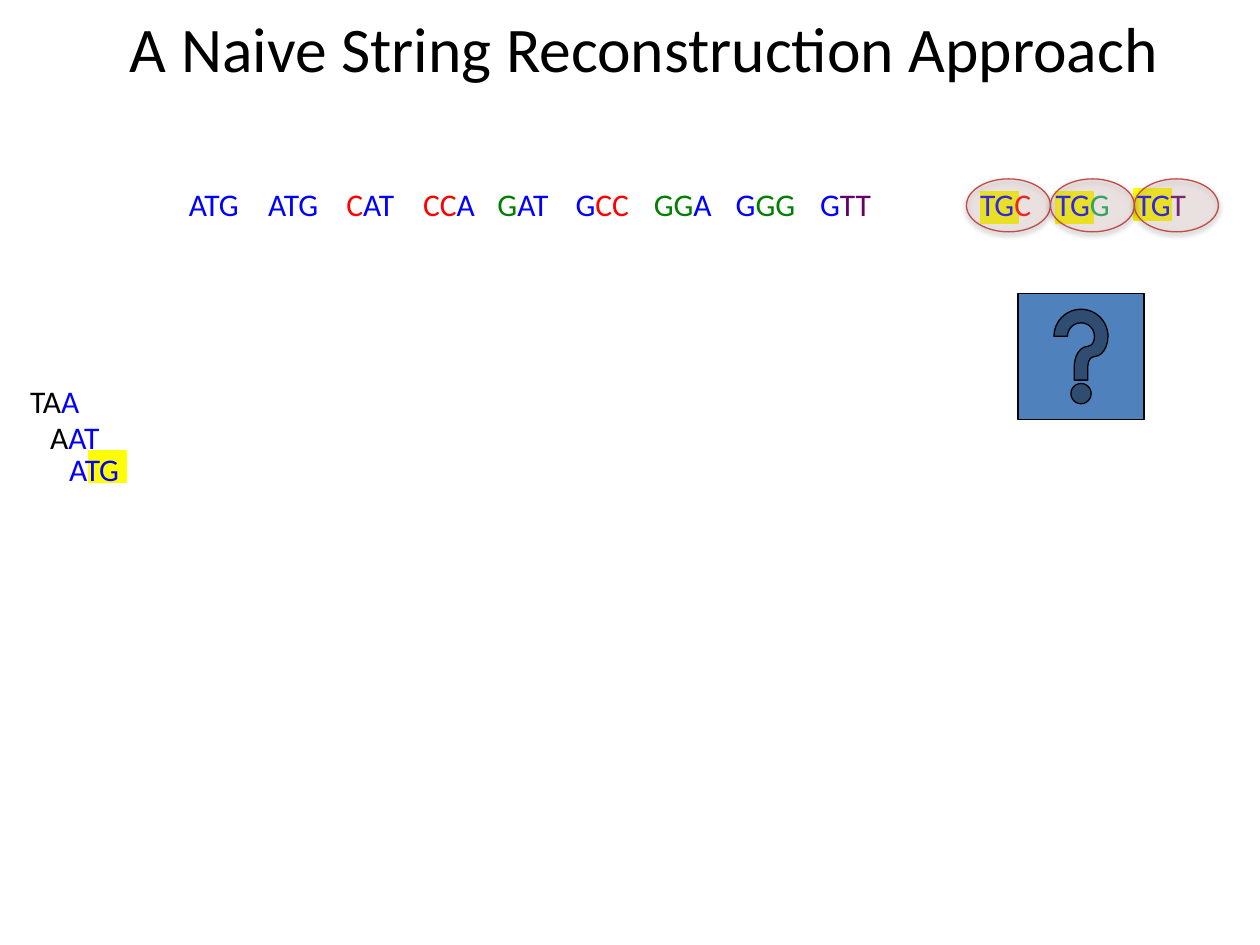
import pptx
import pptx.util
import pptx.dml.color
import pptx.enum.shapes
import pptx.enum.text
import pptx.oxml
import pptx.oxml.ns

Inches, Pt = pptx.util.Inches, pptx.util.Pt
RGBColor = pptx.dml.color.RGBColor
MSO_SHAPE = pptx.enum.shapes.MSO_SHAPE

BLACK = RGBColor(0x00, 0x00, 0x00)
BLUE = RGBColor(0x00, 0x00, 0xFF)
RED = RGBColor(0xFF, 0x00, 0x00)
GREEN = RGBColor(0x00, 0x80, 0x00)
LIGHT_GREEN = RGBColor(0x00, 0xB0, 0x50)
PURPLE = RGBColor(0x66, 0x00, 0x66)
YELLOW = RGBColor(0xFF, 0xFF, 0x00)
PINK = RGBColor(0xE6, 0xB9, 0xB8)
DARK_RED = RGBColor(0xBF, 0x4C, 0x48)
STEEL = RGBColor(0x4F, 0x81, 0xBD)

NS = pptx.oxml.ns.nsdecls("a")
OVAL_SHADOW = (
    f'<a:effectLst {NS}><a:outerShdw blurRad="{Pt(3.1)}" dist="{Pt(1.6)}" '
    'dir="5400000" rotWithShape="0"><a:srgbClr val="000000">'
    '<a:alpha val="38000"/></a:srgbClr></a:outerShdw></a:effectLst>'
)

# Left, width and coloured parts of each 3-mer still to be placed
UNUSED = [
    (1.4, 0.64, [("ATG", BLUE)]),
    (2.03, 0.64, [("ATG", BLUE)]),
    (2.65, 0.61, [("C", RED), ("AT", BLUE)]),
    (3.26, 0.62, [("CC", RED), ("A", BLUE)]),
    (3.85, 0.64, [("G", GREEN), ("AT", BLUE)]),
    (4.47, 0.63, [("G", BLUE), ("CC", RED)]),
    (5.09, 0.68, [("GG", GREEN), ("A", BLUE)]),
    (5.74, 0.69, [("G", BLUE), ("GG", GREEN)]),
    (6.41, 0.61, [("G", BLUE), ("TT", PURPLE)]),
]
# Same, with the left and top of the highlight behind the shared TG
CANDIDATES = [
    (7.68, 0.62, [("TG", BLUE), ("C", RED)], 7.78, 1.52),
    (8.28, 0.65, [("TG", BLUE), ("G", LIGHT_GREEN)], 8.38, 1.52),
    (8.92, 0.61, [("TG", BLUE), ("T", PURPLE)], 9, 1.5),
]
# Left, top, width and parts of the 3-mers already chained
CHAIN = [
    (0.14, 2.98, 0.69, [("TA", BLACK), ("A", BLUE)]),
    (0.3, 3.27, 0.63, [("A", BLACK), ("AT", BLUE)]),
    (0.45, 3.52, 0.64, [("ATG", BLUE)]),
]


def add_text(slide, left, top, width, height, parts, size, frame):
    tb = slide.shapes.add_textbox(*map(Inches, (left, top, width, height)))
    tf = tb.text_frame
    for name, value in frame.items():
        setattr(tf, name, value)
    p = tf.paragraphs[0]
    for text, color in parts:
        r = p.add_run()
        r.text = text
        for name, value in {"name": "Calibri", "size": Pt(size)}.items():
            setattr(r.font, name, value)
        r.font.color.rgb = color
    return p


def add_kmer(slide, left, top, width, parts):
    add_text(slide, left, top, width, 0.4, parts, 18, {
        "word_wrap": False,
        "auto_size": pptx.enum.text.MSO_AUTO_SIZE.SHAPE_TO_FIT_TEXT,
    })


def add_block(slide, kind, left, top, width, height, fill, line):
    sp = slide.shapes.add_shape(kind, *map(Inches, (left, top, width, height)))
    sp.shadow.inherit = False
    sp.fill.solid()
    sp.fill.fore_color.rgb = fill
    sp.line.color.rgb = line
    sp.line.width = Pt(0.75)
    return sp


def add_highlight(slide, left, top):
    add_block(slide, MSO_SHAPE.RECTANGLE, left, top, 0.3, 0.25, YELLOW, YELLOW)


def add_oval(slide, left, top, width, height):
    """Add a see-through oval with a soft shadow below it."""
    sp = add_block(slide, MSO_SHAPE.OVAL, left, top, width, height, PINK, DARK_RED)
    spPr = sp.element.spPr
    color = spPr.find(pptx.oxml.ns.qn("a:solidFill"))[0]
    color.append(pptx.oxml.parse_xml(f'<a:alpha {NS} val="21000"/>'))
    effects = spPr.find(pptx.oxml.ns.qn("a:effectLst"))
    spPr.replace(effects, pptx.oxml.parse_xml(OVAL_SHADOW))


def add_title(slide, left, top, width, height):
    p = add_text(slide, left, top, width, height,
                 [("A Naive String Reconstruction Approach", BLACK)], 36.3, {
                     "word_wrap": True,
                     "margin_left": Inches(0.33),
                     "vertical_anchor": pptx.enum.text.MSO_ANCHOR.MIDDLE,
                 })
    p.alignment = pptx.enum.text.PP_ALIGN.CENTER


def add_unused(slide, top):
    for left, width, parts in UNUSED:
        add_kmer(slide, left, top, width, parts)


def add_candidates(slide, left, top, width, height):
    """Add the possible next 3-mers, each circled, with equal ovals side by side."""
    for _, _, _, x, y in CANDIDATES:
        add_highlight(slide, x, y)
    for x, w, parts, _, _ in CANDIDATES:
        add_kmer(slide, x, top, w, parts)
    step = width / len(CANDIDATES)
    for i in range(len(CANDIDATES)):
        add_oval(slide, left + i * step, top, step, height)


def add_chain(slide):
    add_highlight(slide, 0.7, 3.58)
    for left, top, width, parts in CHAIN:
        add_kmer(slide, left, top, width, parts)


def main():
    prs = pptx.Presentation()
    prs.slide_width, prs.slide_height = Inches(10), Inches(7.5)
    slide = prs.slides.add_slide(prs.slide_layouts[6])
    add_unused(slide, 1.42)
    add_candidates(slide, 7.67, 1.42, 2, 0.42)
    add_chain(slide)
    add_block(slide, MSO_SHAPE.ACTION_BUTTON_HELP, 8.08, 2.33, 1, 1, STEEL, BLACK)
    add_title(slide, 0, 0.08, 10, 0.58)
    prs.save("out.pptx")


if __name__ == "__main__":
    main()
